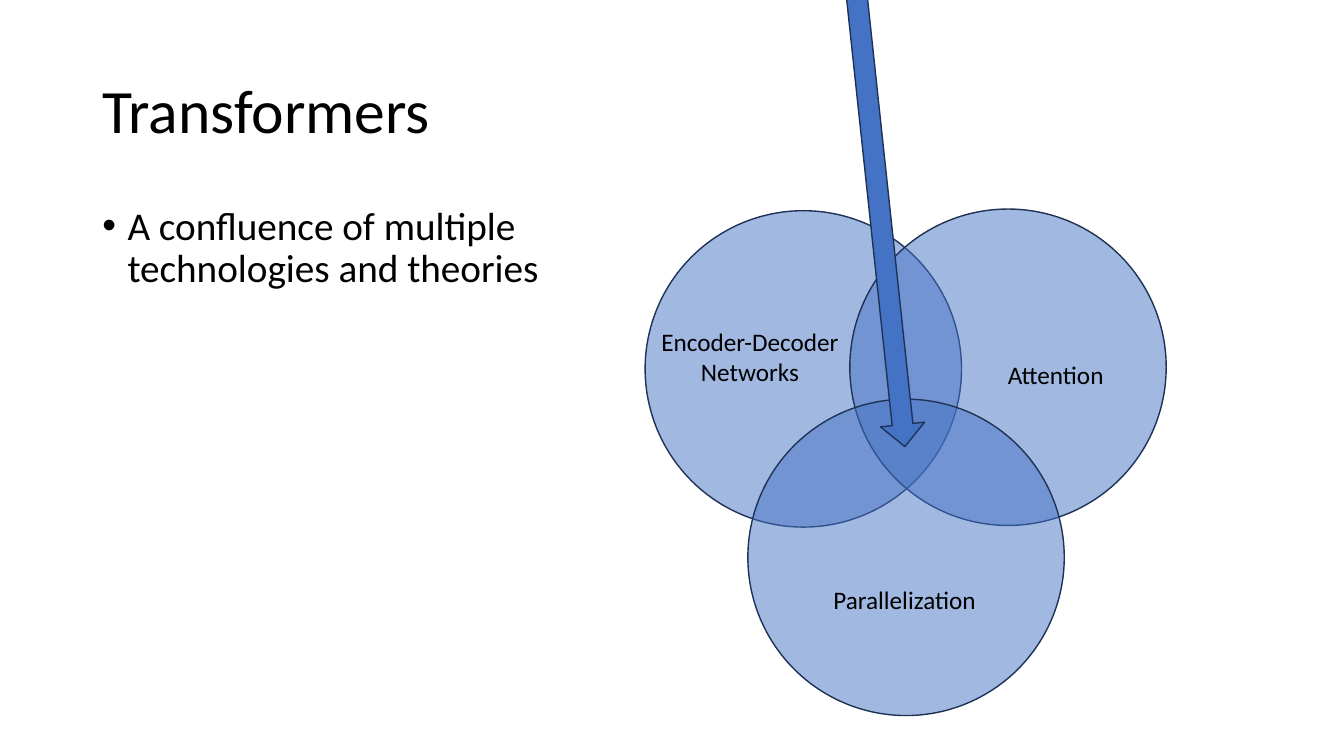
from lxml.etree import SubElement
from pptx import Presentation
from pptx.dml.color import RGBColor
from pptx.enum.shapes import MSO_SHAPE
from pptx.enum.text import MSO_ANCHOR, MSO_AUTO_SIZE, PP_ALIGN
from pptx.oxml.ns import qn
from pptx.util import Pt

FONT = "Calibri"
BLUE, NAVY, BLACK = "4472C4", "1E3256", "000000"
CIRCLE_SIZE = 226


def color(value):
    return RGBColor.from_string(value)


def place(shape, left, top, width, height):
    shape.left, shape.top = Pt(left), Pt(top)
    shape.width, shape.height = Pt(width), Pt(height)


def write(frame, text, size=18, align=PP_ALIGN.LEFT, spacing=1.0,
          anchor=MSO_ANCHOR.TOP, wrap=True, bullet=False):
    frame.word_wrap = wrap
    frame.auto_size = MSO_AUTO_SIZE.NONE if wrap else MSO_AUTO_SIZE.SHAPE_TO_FIT_TEXT
    frame.vertical_anchor = anchor
    para = frame.paragraphs[0]
    para.text = text
    para.alignment = align
    para.line_spacing = spacing
    if bullet:
        add_bullet(para)
    for span in para.runs:
        span.font.name = FONT
        span.font.size = Pt(size)
        span.font.color.rgb = color(BLACK)


def add_bullet(para):
    properties = para._p.get_or_add_pPr()
    properties.set("marL", str(Pt(18)))
    properties.set("indent", str(Pt(-18)))
    SubElement(properties, qn("a:buFont"), typeface="Arial")
    SubElement(properties, qn("a:buChar"), char="•")


def add_text(page, text, left, top, width, height, **style):
    box = page.shapes.add_textbox(Pt(left), Pt(top), Pt(width), Pt(height))
    write(box.text_frame, text, **style)


def add_blue_shape(page, kind, left, top, width, height, opacity=100):
    shape = page.shapes.add_shape(kind, Pt(left), Pt(top), Pt(width), Pt(height))
    shape.shadow.inherit = False
    shape.fill.solid()
    shape.fill.fore_color.rgb = color(BLUE)
    shape.line.color.rgb = color(NAVY)
    shape.line.width = Pt(1)
    if opacity < 100:
        fill = shape._element.spPr.find(qn("a:solidFill"))
        SubElement(fill[0], qn("a:alpha"), val=str(opacity * 1000))
    return shape


def main():
    deck = Presentation()
    deck.slide_width, deck.slide_height = Pt(960), Pt(540)
    page = deck.slides.add_slide(deck.slide_layouts[5])

    # Title and statement
    title = page.shapes.title
    place(title, 66, 28.8, 828, 104.4)
    write(title.text_frame, "Transformers", size=44, spacing=0.9,
          anchor=MSO_ANCHOR.MIDDLE)
    add_text(page, "A confluence of multiple technologies and theories",
             66, 144, 345, 342.7, size=28, spacing=0.9, bullet=True)

    # Three overlapping circles
    for left, top in ((460.8, 150.5), (607, 149.3), (534.2, 285.1)):
        add_blue_shape(page, MSO_SHAPE.OVAL, left, top, CIRCLE_SIZE, CIRCLE_SIZE,
                       opacity=50)

    # Circle labels
    add_text(page, "Encoder-Decoder\vNetworks", 464.4, 229.7, 142.6, 51,
             align=PP_ALIGN.CENTER, wrap=False)
    add_text(page, "Parallelization", 588.2, 414, 117.4, 29, wrap=False)
    add_text(page, "Attention", 712.8, 253.4, 84.2, 29, wrap=False)

    # Arrow from above to the shared centre
    arrow = add_blue_shape(page, MSO_SHAPE.RIGHT_ARROW, 427.7, 106.6, 395.3, 31.7)
    arrow.adjustments[0] = 0.47
    arrow.adjustments[1] = 0.5
    arrow.rotation = 83.9

    deck.save("out.pptx")


if __name__ == "__main__":
    main()
